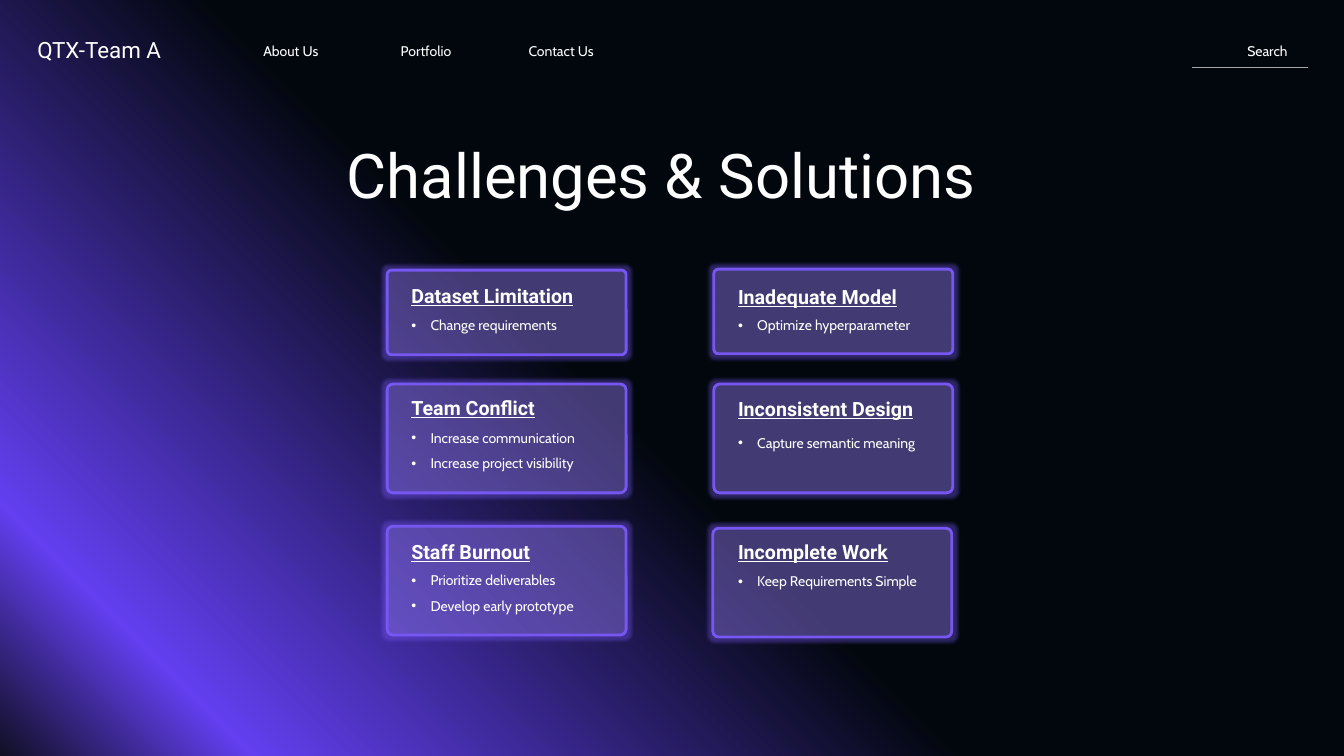
"""Build the Challenges & Solutions slide with six glowing cards."""
from dataclasses import dataclass

from pptx import Presentation
from pptx.dml.color import RGBColor
from pptx.enum.shapes import MSO_CONNECTOR, MSO_SHAPE
from pptx.enum.text import MSO_ANCHOR as Anchor, MSO_AUTO_SIZE as AutoSize, PP_ALIGN as Align
from pptx.oxml import parse_xml
from pptx.oxml.ns import nsdecls, qn
from pptx.util import Inches, Pt


@dataclass(frozen=True)
class Theme:
    heading: str = "Roboto"
    body: str = "Cabin"
    white: str = "FFFFFF"
    border: str = "7757F2"
    rule: str = "A6A6A6"
    background: tuple = ((54, "02070D"), (88, "633FF0"), (100, "110F25"))
    title_size: int = 44
    brand_size: int = 16
    card_size: int = 14
    body_size: int = 10


theme = Theme()


def add_element(parent, tag, content="", **attributes):
    values = "".join(f' {name}="{value}"' for name, value in attributes.items())
    parent.append(parse_xml(f'<a:{tag} {nsdecls("a")}{values}>{content}</a:{tag}>'))


def add_text(shapes, box, lines, font_name, size, align=Align.LEFT,
             anchor=Anchor.MIDDLE, bullets=False, emphasis=False):
    frame = shapes.add_textbox(*map(Inches, box)).text_frame
    frame_format = {"margin_left": 0, "margin_top": 0, "margin_right": 0, "margin_bottom": 0,
                    "word_wrap": True, "vertical_anchor": anchor,
                    "auto_size": AutoSize.SHAPE_TO_FIT_TEXT}
    for name, value in frame_format.items():
        setattr(frame, name, value)
    for index, line in enumerate(lines):
        paragraph = frame.add_paragraph() if index else frame.paragraphs[0]
        if bullets:
            properties = paragraph._p.get_or_add_pPr()
            properties.set("marL", str(Inches(0.19)))
            properties.set("indent", str(Inches(-0.19)))
            add_element(properties, "buFont", typeface="Arial")
            add_element(properties, "buChar", char="•")
            paragraph.line_spacing = 1.5
        paragraph.alignment = align
        run = paragraph.add_run()
        run.text = line
        font_format = {"name": font_name, "size": Pt(size), "bold": emphasis, "underline": emphasis}
        for name, value in font_format.items():
            setattr(run.font, name, value)
        run.font.color.rgb = RGBColor.from_string(theme.white)


presentation = Presentation()
presentation.slide_width = Inches(13.33)
presentation.slide_height = Inches(7.5)
slide = presentation.slides.add_slide(presentation.slide_layouts[6])

fill = slide.background.fill
fill.gradient()
fill.gradient_angle = 225
stops = next(slide.element.iter(qn("a:gsLst")))
for stop in list(stops):
    stops.remove(stop)
for position, color in theme.background:
    add_element(stops, "gs", f'<a:srgbClr val="{color}"/>', pos=position * 1000)

add_text(slide.shapes, (0.37, 0.36, 1.92, 0.27), ["QTX-Team A"], theme.heading, theme.brand_size)
for index, label in enumerate(["About Us", "Portfolio", "Contact Us"]):
    add_text(slide.shapes, (2.37 + 1.34 * index, 0.42, 1.03, 0.17), [label],
             theme.body, theme.body_size, Align.CENTER)
add_text(slide.shapes, (12.17, 0.42, 0.8, 0.17), ["Search"],
         theme.body, theme.body_size, Align.CENTER)
search_line = slide.shapes.add_connector(
    MSO_CONNECTOR.STRAIGHT, Inches(11.82), Inches(0.67), Inches(12.97), Inches(0.67))
search_line.line.color.rgb = RGBColor.from_string(theme.rule)
search_line.line.width = Pt(0.5)
add_element(search_line.element.spPr, "effectLst")
add_text(slide.shapes, (1.64, 1.36, 9.84, 0.74), ["Challenges & Solutions"],
         theme.heading, theme.title_size, Align.CENTER)

cards = [
    (3.84, 2.68, 0.84, 2.81, 3.06, "Dataset Limitation", ["Change requirements"]),
    (3.84, 3.81, 1.08, 3.92, 4.18, "Team Conflict",
     ["Increase communication", "Increase project visibility"]),
    (7.08, 2.67, 0.84, 2.82, 3.06, "Inadequate Model", ["Optimize hyperparameter"]),
    (7.08, 3.81, 1.08, 3.93, 4.23, "Inconsistent Design", ["Capture semantic meaning"]),
    (3.84, 5.22, 1.08, 5.35, 5.59, "Staff Burnout",
     ["Prioritize deliverables", "Develop early prototype"]),
    (7.07, 5.24, 1.08, 5.35, 5.6, "Incomplete Work", ["Keep Requirements Simple"]),
]
for left, top, height, heading_top, list_top, heading, solutions in cards:
    shapes = slide.shapes.add_group_shape().shapes
    panel = shapes.add_shape(MSO_SHAPE.ROUNDED_RECTANGLE,
                             *map(Inches, (left, top, 2.37, height)))
    panel.adjustments[0] = 0.054
    panel.fill.solid()
    panel.fill.fore_color.rgb = RGBColor.from_string(theme.white)
    add_element(next(panel.element.spPr.iter(qn("a:srgbClr"))), "alpha", val=10000)
    panel.line.color.rgb = RGBColor.from_string(theme.border)
    panel.line.width = Pt(2)
    panel.shadow.inherit = False
    add_element(panel.element.spPr.find(qn("a:effectLst")), "glow",
                f'<a:srgbClr val="{theme.border}"><a:alpha val="38000"/></a:srgbClr>', rad=Pt(5))
    text_left = 4.08 if left < 5 else 7.32
    add_text(shapes, (text_left, heading_top, 2.37, 0.24), [heading],
             theme.heading, theme.card_size, emphasis=True)
    add_text(shapes, (text_left, list_top, 2.12, 0.25 * len(solutions)), solutions,
             theme.body, theme.body_size, anchor=Anchor.TOP, bullets=True)

presentation.save("out.pptx")
